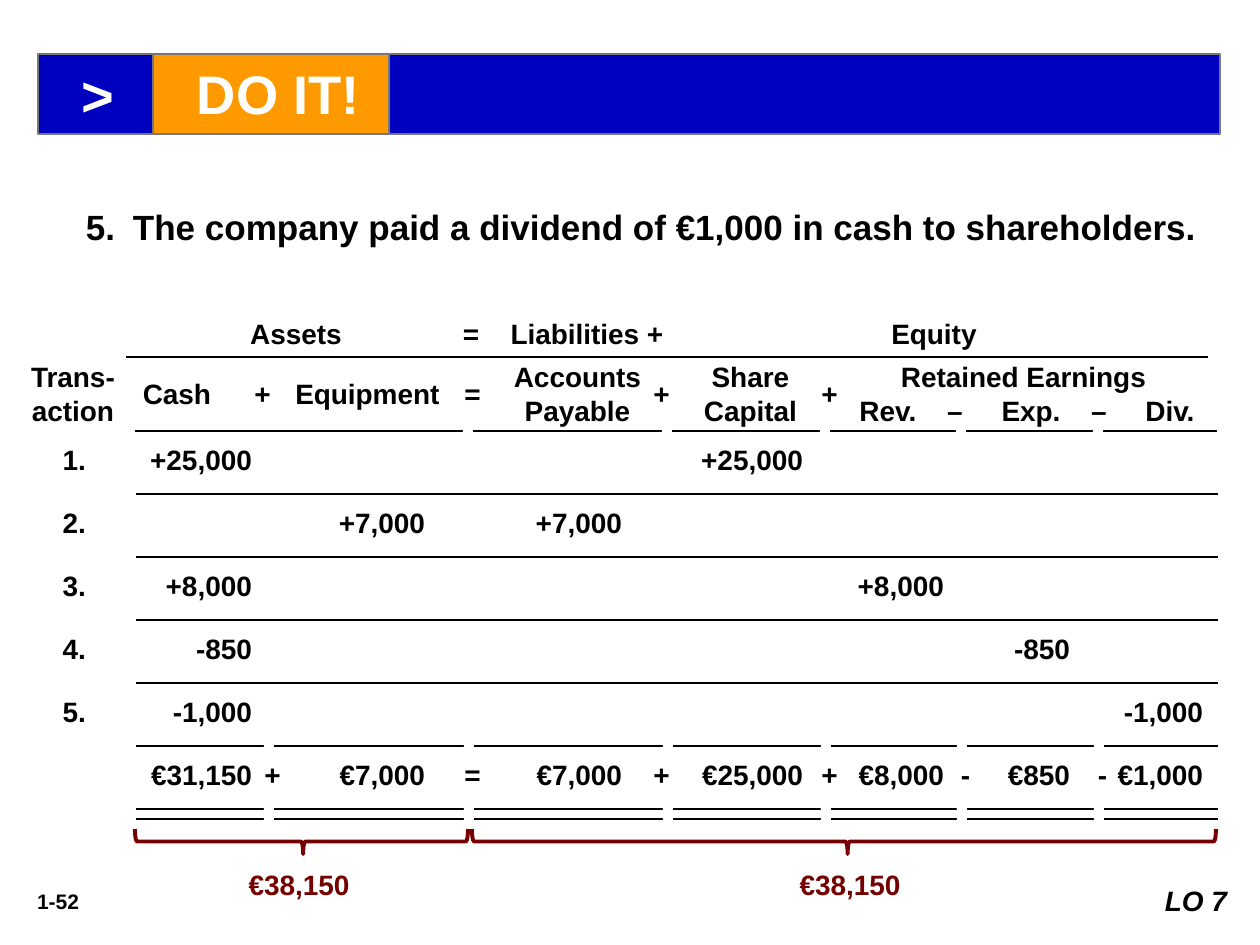
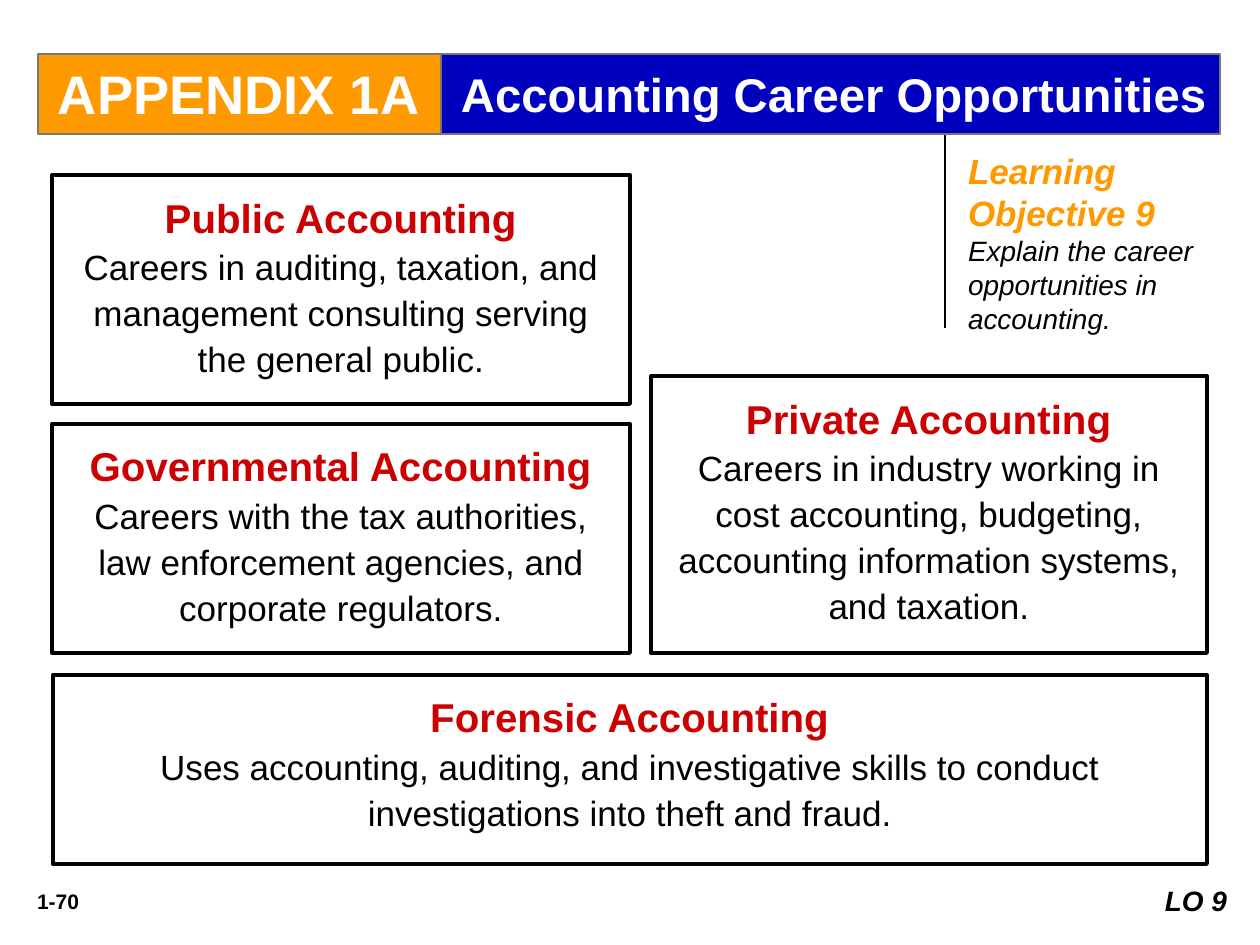
from lxml.etree import SubElement
from pptx import Presentation
from pptx.dml.color import RGBColor
from pptx.enum.shapes import MSO_CONNECTOR as Connector, MSO_SHAPE as Shape
from pptx.enum.text import MSO_ANCHOR as Anchor, PP_ALIGN as Align
from pptx.oxml.ns import qn
from pptx.util import Pt

COLORS = {
    "black": "000000", "white": "FFFFFF", "blue": "0000BF", "orange": "FF9900",
    "red": "CC0000", "maroon": "740000", "gray": "777777",
}
FONT = "Arial"
PX = 914400 / 126
ALIGNS = {"left": Align.LEFT, "center": Align.CENTER, "right": Align.RIGHT}
ANCHORS = {"top": Anchor.TOP, "middle": Anchor.MIDDLE}
INSETS = (13, 6, 13, 6)

BAND_TOP, BAND_HEIGHT = 54, 80
BAND_LEFT, BAND_RIGHT = 38, 1220

QUESTION = "The company paid a dividend of €1,000 in cash to shareholders."
EQUATION = ["Assets", "=", "Liabilities +", "Equity"]
EQUATION_TABS = [157, 332, 448, 795]
HEADINGS = [
    (["Trans-", "action"], 10, 126),
    (["Cash"], 126, 102),
    (["Equipment"], 273, 189),
    (["Accounts", "Payable"], 483, 189),
    (["Share Capital"], 661, 179),
]
RETAINED = ["Rev.", "–", "Exp.", "–", "Div."]
RETAINED_TABS = [59, 126, 202, 270, 341]
TRANSACTIONS = [
    ["1.", "+25,000", "", "", "+25,000"],
    ["2.", "", "+7,000", "+7,000"],
    ["3.", "+8,000", "", "", "", "+8,000"],
    ["4.", "-850", "", "", "", "", "-850"],
    ["5.", "-1,000", "", "", "", "", "", "-1,000"],
    ["", "€31,150", "€7,000", "€7,000", "€25,000", "€8,000", "€850", "€1,000"],
]
COLUMN_TABS = [32, 198, 371, 568, 749, 890, 1016, 1149]
HEADING_SIGNS = [("+", 252), ("=", 462), ("+", 651), ("+", 819)]
TOTAL_SIGNS = [("+", 262), ("=", 462), ("+", 651), ("+", 819), ("-", 955), ("-", 1092)]
SUMS = [("€38,150", 135, 468, 299), ("€38,150", 472, 1216, 850)]

ROW_TOP, ROW_STEP = 443, 63
HEADING_TOP, HEADING_HEIGHT = 357, 72
TOTAL_TOP = 735
RULE_LEFT, RULE_RIGHT = 136, 1218
GAPS, GAP_WIDTH, GAP_HEIGHT = [264, 464, 663, 821, 957, 1094], 10, 21

CAREERS = [
    ("Forensic Accounting",
     "Uses accounting, auditing, and investigative skills to conduct "
     "investigations into theft and fraud.",
     (53, 675, 1154, 189)),
    ("Governmental Accounting",
     "Careers with the tax authorities, law enforcement agencies, and corporate regulators.",
     (52, 424, 578, 229)),
    ("Private Accounting",
     "Careers in industry working in cost accounting, budgeting, "
     "accounting information systems, and taxation.",
     (651, 376, 556, 277)),
    ("Public Accounting",
     "Careers in auditing, taxation, and management consulting serving the general public.",
     (52, 175, 578, 229)),
]


def emu(px):
    return round(px * PX)


def color(name):
    return RGBColor.from_string(COLORS[name])


def add_numbering(para, start, indent):
    props = para._p.get_or_add_pPr()
    props.set("marL", str(emu(indent)))
    props.set("indent", str(-emu(indent)))
    SubElement(props, qn("a:buFont"), typeface="+mj-lt")
    SubElement(props, qn("a:buAutoNum"), type="arabicPeriod", startAt=str(start))


def add_tabs(para, stops, kind):
    tab_list = SubElement(para._p.get_or_add_pPr(), qn("a:tabLst"))
    for stop in stops:
        SubElement(tab_list, qn("a:tab"), pos=str(emu(stop)), algn=kind)


def add_block(page, area, fill, line=None, weight=1):
    block = page.shapes.add_shape(Shape.RECTANGLE, *map(emu, area))
    block.shadow.inherit = False
    block.fill.solid()
    block.fill.fore_color.rgb = color(fill)
    if line:
        block.line.color.rgb = color(line)
        block.line.width = Pt(weight)
    else:
        block.line.fill.background()
    return block


def add_text(page, text, area, fill=None, line=None, weight=1, size=16, ink="black",
             bold=True, italic=False, align="left", anchor="top", insets=INSETS,
             indent=0, spacing=None, tabs=(), tab_kind="ctr", number=None):
    if fill:
        box = add_block(page, area, fill, line, weight)
    else:
        box = page.shapes.add_textbox(*map(emu, area))
    frame = box.text_frame
    frame.word_wrap = True
    frame.vertical_anchor = ANCHORS[anchor]
    frame.margin_left, frame.margin_top, frame.margin_right, frame.margin_bottom = map(emu, insets)
    base = dict(size=size, ink=ink, bold=bold, align=align, tabs=tabs)
    for index, item in enumerate([text] if isinstance(text, str) else text):
        words, changes = (item, {}) if isinstance(item, str) else item
        style = {**base, **changes}
        para = frame.add_paragraph() if index else frame.paragraphs[0]
        if number:
            add_numbering(para, number, indent)
        elif indent:
            para._p.get_or_add_pPr().set("marL", str(emu(indent)))
        if style["tabs"]:
            add_tabs(para, style["tabs"], tab_kind)
        para.alignment = ALIGNS[style["align"]]
        if spacing:
            para.line_spacing = spacing
        span = para.add_run()
        span.text = words
        span.font.name = FONT
        span.font.size = Pt(style["size"])
        span.font.bold = style["bold"]
        span.font.italic = italic
        span.font.color.rgb = color(style["ink"])


def add_rule(page, x1, y1, x2, y2, weight=1.5):
    rule = page.shapes.add_connector(Connector.STRAIGHT, *map(emu, (x1, y1, x2, y2)))
    rule.line.color.rgb = color("black")
    rule.line.width = Pt(weight)
    SubElement(rule._element.spPr, qn("a:effectLst"))


def add_broken_rule(page, y, gaps, shift=0):
    add_rule(page, RULE_LEFT + shift, y, RULE_RIGHT + shift, y)
    for gap in gaps:
        add_block(page, (gap + shift, y - GAP_HEIGHT // 2, GAP_WIDTH, GAP_HEIGHT), "white")


def add_brace(page, left, right):
    depth, span, top = 25, right - left, 829
    area = ((left + right - depth) / 2, top + (depth - span) / 2, depth, span)
    brace = page.shapes.add_shape(Shape.LEFT_BRACE, *map(emu, area))
    brace.rotation = 270
    brace.shadow.inherit = False
    brace.adjustments[0], brace.adjustments[1] = 0.083, 0.505
    brace.fill.background()
    brace.line.color.rgb = color("maroon")
    brace.line.width = Pt(2.25)


def add_band(page, text, left, right, fill, **style):
    add_text(page, text, (left, BAND_TOP, right - left, BAND_HEIGHT), fill=fill,
             line="gray", ink="white", insets=(12, 6, 11, 6), **style)


def add_page(deck, number, objective):
    page = deck.slides.add_slide(deck.slide_layouts[6])
    add_text(page, number, (11, 883, 94, 38), size=12, align="center")
    add_text(page, objective, (1134, 878, 106, 47), fill="white", italic=True, align="right")
    return page


def add_signs(page, signs, top, inset):
    for sign, left in signs:
        add_text(page, sign, (left, top, 21, HEADING_HEIGHT), align="center",
                 anchor="middle", insets=(0, inset, 0, 6))


def build_transactions(deck):
    page = add_page(deck, "1-52", "LO 7")
    add_band(page, ">", BAND_LEFT, BAND_RIGHT, "blue", size=32, anchor="middle", indent=32)
    add_band(page, "DO IT!", 153, 389, "orange", size=31, indent=32)
    add_text(page, QUESTION, (73, 189, 1157, 66), size=20, spacing=1.25, indent=47, number=5)

    for words, left, width in HEADINGS:
        add_text(page, words, (left, HEADING_TOP, width, HEADING_HEIGHT),
                 align="center", anchor="middle")
    parts = "".join("\t" + part for part in RETAINED)
    add_text(page, [("Retained Earnings", {"align": "center"}), (parts, {"tabs": RETAINED_TABS})],
             (829, HEADING_TOP, 389, HEADING_HEIGHT), anchor="middle", insets=(0, 6, 0, 6))
    add_broken_rule(page, 431, GAPS[1:], shift=-1)
    add_text(page, "".join("\t" + part for part in EQUATION), (126, 315, 1092, 37),
             anchor="middle", tabs=EQUATION_TABS)
    add_rule(page, 126, HEADING_TOP, 1208, HEADING_TOP)
    add_signs(page, HEADING_SIGNS, HEADING_TOP, 6)

    for y in (746, 809, 819):
        add_broken_rule(page, y, GAPS)
    for index, cells in enumerate(TRANSACTIONS):
        top = ROW_TOP + index * ROW_STEP
        add_text(page, "".join("\t" + cell for cell in cells), (41, top, 1197, 40),
                 insets=(13, 0, 13, 6), tabs=COLUMN_TABS, tab_kind="r")
        if index < len(TRANSACTIONS) - 2:
            add_rule(page, RULE_LEFT, top + 51, RULE_RIGHT, top + 51)
    add_signs(page, TOTAL_SIGNS, TOTAL_TOP, 13)

    for total, left, right, middle in SUMS:
        add_brace(page, left, right)
        add_text(page, total, (middle - 94, 862, 188, 47), ink="maroon", align="center")


def build_careers(deck):
    page = add_page(deck, "1-70", "LO 9")
    add_rule(page, 945, 135, 945, 328, weight=1)
    for heading, description, area in CAREERS:
        add_text(page, [(heading, {"size": 23, "ink": "red"}), (description, {"bold": False})],
                 area, fill="white", line="black", weight=2.25, size=20, align="center",
                 insets=(25, 13, 25, 13), spacing=1.1)
    add_band(page, "Accounting Career Opportunities", 441, BAND_RIGHT, "blue",
             size=27, anchor="middle", indent=8)
    add_band(page, "APPENDIX 1A", BAND_LEFT, 441, "orange", size=31, indent=8)
    add_text(page, [("Learning Objective 9", {"size": 20, "ink": "orange"}),
                    ("Explain the career opportunities in accounting.", {"bold": False})],
             (955, 144, 282, 199), italic=True)


def main():
    deck = Presentation()
    deck.slide_width, deck.slide_height = emu(1260), emu(945)
    build_transactions(deck)
    build_careers(deck)
    deck.save("out.pptx")


if __name__ == "__main__":
    main()
